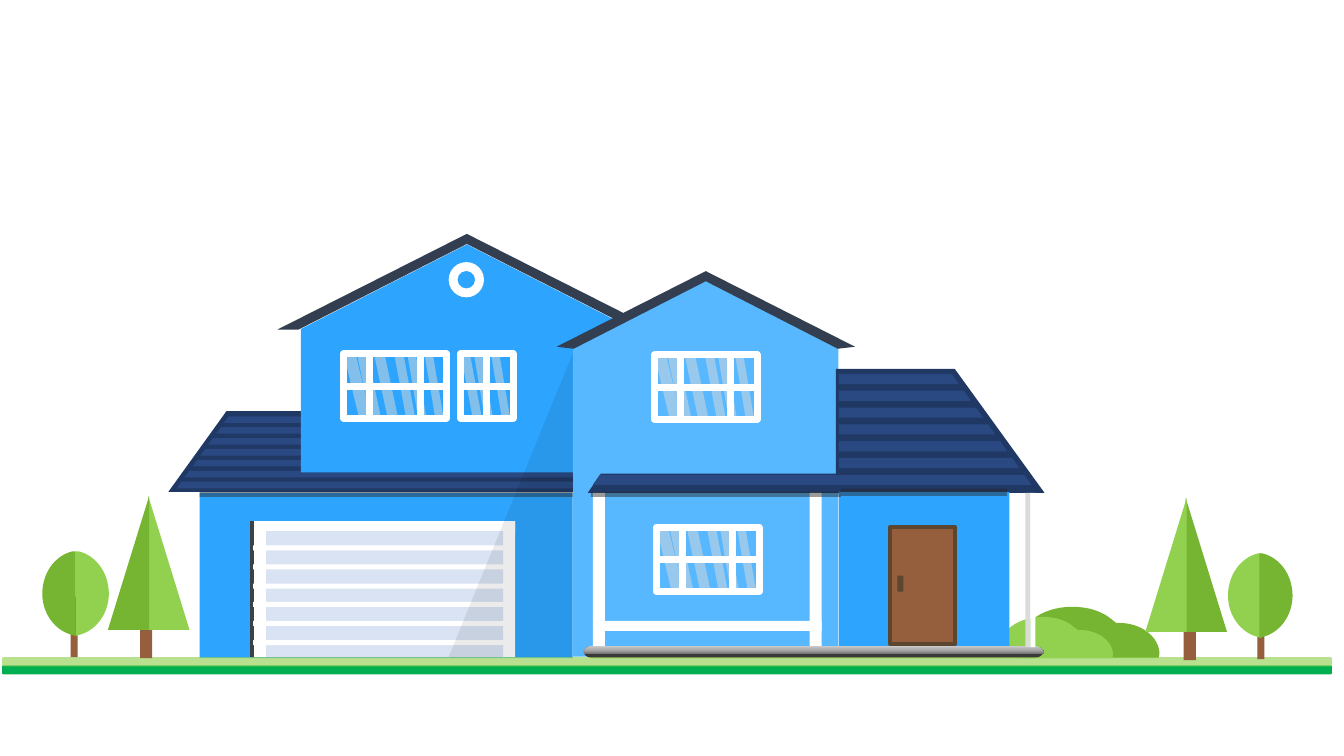
"""Draw a blue family house with a garage, a porch, trees and bushes."""
from copy import deepcopy
from lxml.etree import SubElement
from pptx import Presentation
from pptx.dml.color import RGBColor as RGB
from pptx.enum.shapes import MSO_SHAPE as MS
from pptx.oxml.ns import qn
from pptx.util import Pt

PX = 9144
HUE = {
    "white": "FFFFFF", "leaf": "92D050", "moss": "76B531", "grass": "00B050",
    "roof": "203864", "slat": "2A4982", "wall": "2DA5FF", "front": "57B7FF",
    "trim": "333F50", "glare": "D9D9D9", "gap": "404040", "panel": "DAE3F3",
    "wood": "955F3D", "frame": "5D462F", "base": "3B3838", "black": "000000",
    "eave": "262626", "edge": "DBDBDB", "dark": "6F6F6F", "mid": "A8A8A8",
    "pale": "C9C9C9",
}
RECT, ROUND, SLANT, WEDGE = MS.RECTANGLE, MS.ROUNDED_RECTANGLE, MS.PARALLELOGRAM, MS.RIGHT_TRIANGLE
FREE = None

deck = Presentation()
deck.slide_width, deck.slide_height = 1333 * PX, 750 * PX
slide = deck.slides.add_slide(deck.slide_layouts[6])
house = slide.shapes.add_group_shape().shapes


def trace(paths):
    """Build one outline; a point of six numbers is a Bezier curve."""
    pen = None
    for first, *rest in paths:
        x, y = first
        if pen is None:
            pen = house.build_freeform(x * PX, y * PX, scale=1.0)
        else:
            pen.move_to(x * PX, y * PX)
        dots = []
        for point in rest:
            if len(point) == 2:
                dots.append(point)
            else:
                a, b, c, d, e, f = point
                for step in range(1, 17):
                    t = step / 16
                    u = 1 - t
                    dots.append((
                        u**3 * x + 3 * u * u * t * a + 3 * u * t * t * c + t**3 * e,
                        u**3 * y + 3 * u * u * t * b + 3 * u * t * t * d + t**3 * f,
                    ))
            x, y = point[-2:]
        pen.add_line_segments([(p * PX, q * PX) for p, q in dots], close=True)
    return pen.convert_to_shape()


def make(kind, spot, hue=None, line=None, wide=0, alpha=None, adj=None, flip=False, **look):
    """Add a shape from a box, or an outline from paths, and paint it."""
    if kind is FREE:
        shape = trace(spot)
    else:
        shape = house.add_shape(kind, *[v * PX for v in spot])
    shape.shadow.inherit = False
    if hue:
        shape.fill.solid()
        shape.fill.fore_color.rgb = RGB.from_string(HUE[hue])
    else:
        shape.fill.background()
    if alpha:
        tone = shape.element.spPr.find(".//" + qn("a:srgbClr"))
        SubElement(tone, qn("a:alpha"), val=str(alpha * 1000))
    if line:
        shape.line.color.rgb = RGB.from_string(HUE[line])
        shape.line.width = Pt(wide)
    else:
        shape.line.fill.background()
    if adj:
        shape.adjustments[0] = adj
    if flip:
        shape.element.spPr.xfrm.set("flipH", "1")
    for key, val in look.items():
        setattr(shape, key, val)
    return shape


make(FREE, [[
    (1063, 602), (1033, 602, 1009, 620, 1009, 644), (1009, 647, 1009, 649, 1010, 653),
    (1149, 653), (1150, 649), (1150, 632, 1132, 618, 1110, 618), (1107, 618),
    (1102, 614), (1092, 606, 1079, 602, 1063, 602)]], "moss")
make(FREE, [[
    (1034, 612), (1009, 612, 990, 627, 990, 646), (990, 648, 990, 650, 991, 653),
    (1103, 653), (1104, 650), (1104, 636, 1089, 625, 1071, 625), (1069, 625),
    (1065, 622), (1057, 615, 1046, 612, 1034, 612)]], "leaf")
make(ROUND, (2, 660, 1319, 9), "grass")

make(MS.TRAPEZOID, (167, 408, 457, 80), "roof", adj=0.72)
slats = []
for row in range(7):
    y, run = 413 + 10.83 * row, 7.8 * row
    slats.append([(564 + run, y), (227 - run, y), (222 - run, y + 6.5), (569 + run, y + 6.5)])
make(FREE, slats, "slat")
make(MS.PENTAGON, (350, 191, 226, 329), "wall", adj=0.371, rotation=270)
for side in (-1, 1):
    make(FREE, [[(463, 232), (463 + 188 * side, 327), (463 + 167 * side, 327), (463, 242)]], "trim")
make(MS.DONUT, (445, 260, 35, 35), "white")
make(MS.PENTAGON, (513, 333, 374, 263), "front", adj=0.256, rotation=270)

for hue, *box in [
    ("wall", 198, 489, 370, 164), ("gap", 248, 517, 12, 135),
    ("white", 252, 517, 259, 11), ("white", 252, 517, 12, 135),
    ("white", 499, 517, 12, 135), ("panel", 264, 527, 235, 125),
]:
    make(RECT, box, hue)
for row in range(6):
    make(RECT, (251, 541 + round(18.8 * row), 259, 5), "white")

for side in (1, -1):
    make(FREE, [[(700, 269), (700 + 148 * side, 344), (700 + 131 * side, 346), (700, 279)]], "trim")
make(FREE, [[(947, 366), (829, 366), (829, 470), (596, 470), (583, 489), (1036, 489)]], "roof")
slats = []
for row in range(7):
    y, right = 371 + 16.67 * row, 944 + 12 * row
    left, foot = (595, 588) if row == 6 else (832, 832)
    slats.append([(right, y), (left, y), (foot, y + 10), (right + 7, y + 10)])
make(FREE, slats, "slat")

SMALL = [(13, 19), (30, 19), (0, 21)], [(0, 26), (26, 26)]
LARGE = ([(13, 24), (30, 24), (0, 27), (63, 19), (80, 19), (50, 21)],
         [(76, 26), (26, 50), (0, 26)])
for x, y, (glares, panes) in [(457, 351, SMALL), (341, 351, LARGE),
                              (649, 352, LARGE), (651, 523, LARGE)]:
    for dx, wide in glares:
        make(SLANT, (x + dx, y, wide, 64), "glare", alpha=50, adj=0.566, flip=True)
    for dx, wide in panes:
        for dy in (0, 32):
            make(RECT, (x + dx, y + dy, wide, 32), line="white", wide=5)

for hue, *box in [
    ("white", 803, 489, 12, 155), ("white", 588, 489, 12, 155),
    ("white", 591, 616, 224, 10), ("wall", 832, 488, 169, 164),
]:
    make(RECT, box, hue)
for flat, low, end, hue in [(645, 646, 653, "base"), (649, 648, 641, "pale")]:
    bend = (low + end) / 2 + (end - low) / 14
    step = make(FREE, [[
        (1035, flat), (579, flat), (579, low), (579, bend, 583, end, 589, end),
        (1024, end), (1030, end, 1035, bend, 1035, low)]], hue)
step.fill.gradient()
step.fill.gradient_angle = 90
stops = step.element.spPr.find(".//" + qn("a:gsLst"))
stops.insert(1, deepcopy(stops[0]))
for stop, place, hue in zip(step.fill.gradient_stops, (0, 0.48, 1), ("dark", "mid", "pale")):
    stop.position = place
    stop.color.rgb = RGB.from_string(HUE[hue])

make(RECT, (883, 523, 64, 116), "wood", line="frame", wide=3)
make(ROUND, (890, 571, 6, 16), "frame")
make(WEDGE, (445, 351, 123, 301), "black", alpha=8, flip=True)
for box in [(198, 488, 370, 5), (586, 488, 248, 5), (834, 485, 165, 7)]:
    make(RECT, box, "eave", alpha=46)
make(RECT, (1017, 489, 5, 153), "edge")
make(RECT, (1022, 489, 5, 153), "white")
make(ROUND, (2, 652, 1319, 9), "leaf", alpha=64)

for trunk, y, halves in [
    (70, 547, [(75, 1, "leaf"), (75, -1, "moss")]),
    (1247, 549, [(1251, -1, "leaf"), (1249, 1, "moss")]),
]:
    make(RECT, (trunk, y + 45, 7, 60), "wood")
    for x, side, hue in halves:
        make(FREE, [[
            (x, y), (x, y + 84), (x + 3 * side, y + 83),
            (x + 20 * side, y + 79, x + 33 * side, y + 62, x + 33 * side, y + 42),
            (x + 33 * side, y + 21, x + 20 * side, y + 4, x + 3 * side, y)]], hue)

for trunk, x, y, left, right in [(139, 107, 492, "moss", "leaf"), (1174, 1136, 494, "leaf", "moss")]:
    make(RECT, (trunk, y + 105, 12, 56), "wood")
    make(WEDGE, (x + 40, y, 41, 133), right)
    make(WEDGE, (x, y, 41, 133), left, flip=True)

deck.save("out.pptx")
